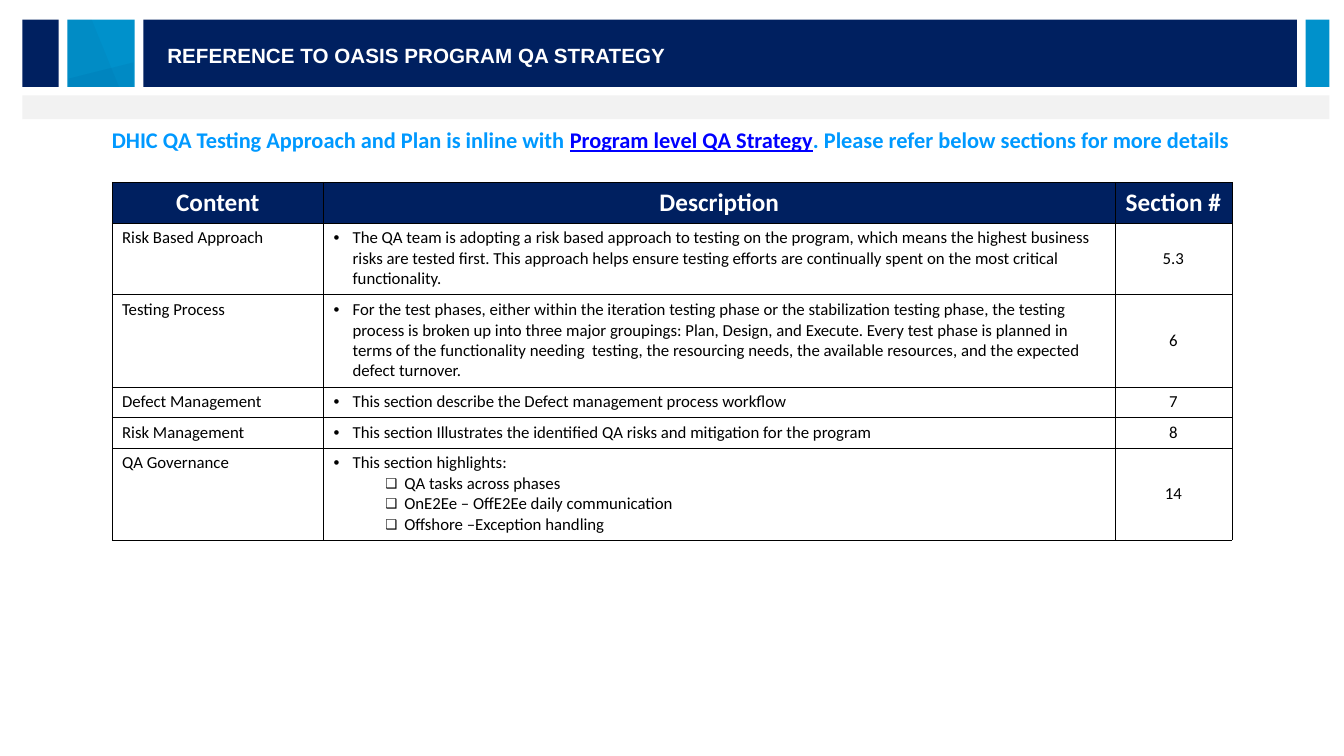
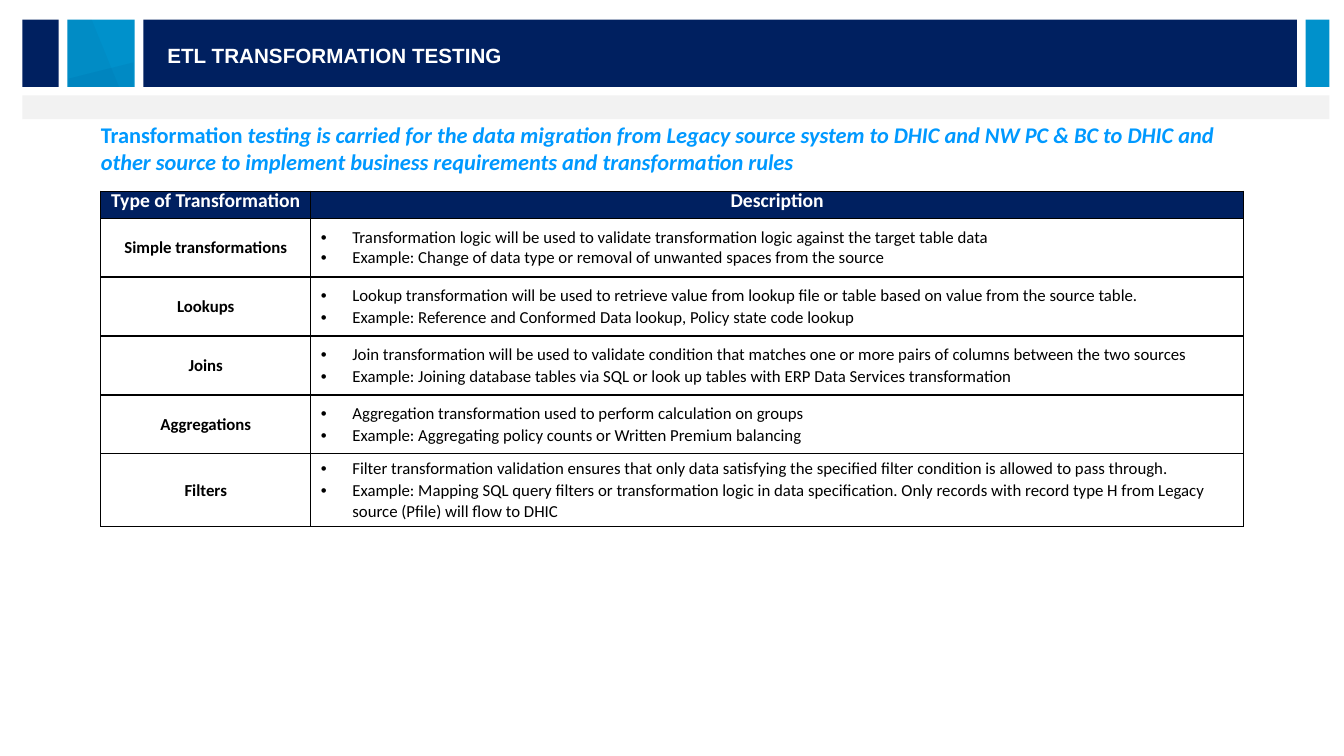
import pptx
import pptx.util
import pptx.dml.color
import pptx.enum.shapes
import pptx.enum.text
import pptx.oxml
import pptx.oxml.ns

Pt = pptx.util.Pt
ALIGN = pptx.enum.text.PP_ALIGN
ANCHOR = pptx.enum.text.MSO_ANCHOR
RECT = pptx.enum.shapes.MSO_SHAPE.RECTANGLE

NAVY, CYAN, GREY, SLATE = "002060", "0091CB", "F2F2F2", "17375E"
SKY, LINK, WHITE, BLACK = "0099FF", "0000FF", "FFFFFF", "000000"

BAND_LEFT, BAND_TOP, BAND_HIGH, GAP = 16, 14, 48, 6.2
BANDS = [(26, NAVY), (48, CYAN), (824, NAVY), (17, CYAN)]
FACETS = [
    ([(48.2, 14), (65.5, 14), (85, 62), (48.2, 62)], SLATE, 5),
    ([(95.2, 44.6), (49, 56.2), (49, 62), (95.2, 62)], NAVY, 6),
]
TITLE_BOX = (112.3, 27.4, 592, 24)

SLIDES = [
    {
        "title": "REFERENCE TO OASIS PROGRAM QA STRATEGY",
        "lead": [
            ("DHIC QA Testing Approach and Plan is inline with ", {}),
            ("Program level QA Strategy", {"color": LINK, "under": True}),
            (". Please refer below sections for more details", {}),
        ],
        "box": (72.7, 86.4, 814.3, 40),
        "pad": (7.2, 3.6),
        "spot": (80, 130),
        "cols": [151.2, 565.2, 83.5],
        "rows": [29.2, 51.2, 65.8, 21.8, 21.8, 65.8],
        "head": ["Content", "Description", "Section #"],
        "size": 18,
        "pitch": None,
        "first": {"align": ALIGN.LEFT, "anchor": ANCHOR.TOP, "bold": False},
        "list": {"anchor": ANCHOR.TOP, "hang": 13.5, "after": [0] * 5},
        "line": 0.25,
        "body": [
            ("Risk Based Approach",
             ["The QA team is adopting a risk based approach to testing on the program, which means the highest business risks are tested first. This approach helps ensure testing efforts are continually spent on the most critical functionality."],
             "5.3"),
            ("Testing Process",
             ["For the test phases, either within the iteration testing phase or the stabilization testing phase, the testing process is broken up into three major groupings: Plan, Design, and Execute. Every test phase is planned in terms of the functionality needing  testing, the resourcing needs, the available resources, and the expected defect turnover."],
             "6"),
            ("Defect Management",
             ["This section describe the Defect management process workflow"],
             "7"),
            ("Risk Management",
             ["This section Illustrates the identified QA risks and mitigation for the program"],
             "8"),
            ("QA Governance",
             ["This section highlights:",
              ("QA tasks across phases",),
              ("OnE2Ee – OffE2Ee daily communication",),
              ("Offshore –Exception handling",)],
             "14"),
        ],
    },
    {
        "title": "ETL TRANSFORMATION TESTING",
        "lead": [
            ("Transformation", {}),
            (" testing is carried for the data migration from Legacy source system to DHIC and NW PC & BC to DHIC and other source to implement business requirements and transformation rules", {"slant": True}),
        ],
        "box": (72, 86.4, 816.5, 40),
        "pad": (0, 0),
        "spot": (72, 136.6),
        "cols": [150, 666.3],
        "rows": [19.2, 42.1, 42.1, 42.1, 42.1, 52],
        "head": ["Type of Transformation", "Description"],
        "size": 14,
        "pitch": 12,
        "first": {"align": ALIGN.CENTER, "anchor": ANCHOR.MIDDLE, "bold": True},
        "list": {"anchor": ANCHOR.MIDDLE, "hang": 22.5, "after": [0, 1, 1, 1, 1]},
        "line": 1,
        "body": [
            ("Simple transformations",
             ["Transformation logic will be used to validate transformation logic against the target table data",
              "Example: Change of data type or removal of unwanted spaces from the source"]),
            ("Lookups",
             ["Lookup transformation will be used to retrieve value from lookup file or table based on value from the source table.",
              "Example: Reference and Conformed Data lookup, Policy state code lookup"]),
            ("Joins",
             ["Join transformation will be used to validate condition that matches one or more pairs of columns between the two sources",
              "Example: Joining database tables via SQL or look up tables with ERP Data Services transformation"]),
            ("Aggregations",
             ["Aggregation transformation used to perform calculation on groups",
              "Example: Aggregating policy counts or Written Premium balancing"]),
            ("Filters",
             ["Filter transformation validation ensures that only data satisfying the specified filter condition is allowed to pass through.",
              "Example: Mapping SQL query filters or transformation logic in data specification. Only records with record type H from Legacy source (Pfile) will flow to DHIC"]),
        ],
    },
]


def rgb(code):
    return pptx.dml.color.RGBColor.from_string(code)


def node(root, tag, **attrs):
    item = root.makeelement(pptx.oxml.ns.qn("a:" + tag), attrs)
    root.append(item)
    return item


def add_run(para, text, size, color, bold=True, face="Calibri", slant=False, under=False):
    run = para.add_run()
    run.text = text
    font = run.font
    font.name, font.size, font.bold = face, Pt(size), bold
    font.italic, font.underline = slant, under
    font.color.rgb = rgb(color)


def paint(shape, color, alpha=None):
    shape.shadow.inherit = False
    shape.fill.solid()
    shape.fill.fore_color.rgb = rgb(color)
    shape.line.fill.background()
    if alpha:
        tint = shape._element.spPr.find(".//" + pptx.oxml.ns.qn("a:srgbClr"))
        node(tint, "alpha", val=str(alpha * 1000))


def add_bands(slide, layout):
    made = []

    def add_rect(left, top, width, height, color):
        shape = slide.shapes.add_shape(RECT, Pt(left), Pt(top), Pt(width), Pt(height))
        paint(shape, color)
        made.append(shape)

    left = BAND_LEFT
    for width, color in BANDS:
        add_rect(left, BAND_TOP, width, BAND_HIGH, color)
        left += width + GAP
    add_rect(BAND_LEFT, BAND_TOP + BAND_HIGH + GAP, left - GAP - BAND_LEFT, 17, GREY)
    for spots, color, alpha in FACETS:
        spots = [(Pt(x), Pt(y)) for x, y in spots]
        form = slide.shapes.build_freeform(*spots[0], scale=1.0)
        form.add_line_segments(spots[1:], close=True)
        shape = form.convert_to_shape()
        paint(shape, color, alpha)
        made.append(shape)
    for place, shape in enumerate(made, 2):
        layout.shapes._spTree.insert(place, shape._element)


def place_text(shape, box, pad, anchor):
    shape.left, shape.top, shape.width, shape.height = map(Pt, box)
    frame = shape.text_frame
    frame.word_wrap = True
    frame.auto_size = pptx.enum.text.MSO_AUTO_SIZE.NONE
    frame.vertical_anchor = anchor
    frame.margin_left = frame.margin_right = Pt(pad[0])
    frame.margin_top = frame.margin_bottom = Pt(pad[1])
    para = frame.paragraphs[0]
    props = para._p.get_or_add_pPr()
    props.set("marL", "0")
    props.set("indent", "0")
    node(props, "buNone")
    para.alignment = ALIGN.LEFT
    para.space_before = Pt(0)
    return para


def edge_cell(cell, width):
    props = cell._tc.get_or_add_tcPr()
    for place, side in enumerate(("lnL", "lnR", "lnT", "lnB")):
        line = node(props, side, w=str(Pt(width)))
        node(node(line, "solidFill"), "srgbClr", val=BLACK)
        props.insert(place, line)


def add_list(cell, items, hang, after):
    for place, item in enumerate(items):
        frame = cell.text_frame
        para = frame.add_paragraph() if place else frame.paragraphs[0]
        inner = isinstance(item, tuple)
        props = para._p.get_or_add_pPr()
        props.set("marL", str(Pt(50.4 if inner else hang)))
        props.set("indent", str(-Pt(hang)))
        if inner:
            para.level = 1
            node(props, "buSzPct", val="80000")
        node(props, "buFont", typeface="Arial")
        node(props, "buChar", char="❑" if inner else "•")
        para.space_after = Pt(after)
        add_run(para, item[0] if inner else item, 12, BLACK, False)


def add_grid(slide, data):
    cols, rows = data["cols"], data["rows"]
    frame = slide.shapes.add_table(len(rows), len(cols), *map(Pt, data["spot"]),
                                   Pt(sum(cols)), Pt(sum(rows)))
    grid = frame.table
    grid.first_row = grid.horz_banding = False
    for col, width in zip(grid.columns, cols):
        col.width = Pt(width)
    for row, height in zip(grid.rows, rows):
        row.height = Pt(height)
    for r, texts in enumerate([data["head"]] + data["body"]):
        for c, text in enumerate(texts):
            cell = grid.cell(r, c)
            cell.fill.solid()
            cell.fill.fore_color.rgb = rgb(WHITE if r else NAVY)
            edge_cell(cell, data["line"])
            cell.vertical_anchor = ANCHOR.MIDDLE
            para = cell.text_frame.paragraphs[0]
            para.alignment = ALIGN.CENTER
            if r == 0:
                cell.margin_left = cell.margin_right = Pt(6)
                if data["pitch"]:
                    para.line_spacing = Pt(data["pitch"])
                add_run(para, text, data["size"], WHITE)
            elif c == 1:
                look = data["list"]
                cell.vertical_anchor = look["anchor"]
                para.alignment = ALIGN.LEFT
                add_list(cell, text, look["hang"], look["after"][r - 1])
            elif c == 0:
                look = data["first"]
                cell.vertical_anchor = look["anchor"]
                para.alignment = look["align"]
                add_run(para, text, 12, BLACK, look["bold"])
            else:
                add_run(para, text, 12, BLACK, False)


def main():
    deck = pptx.Presentation()
    deck.slide_width, deck.slide_height = Pt(960), Pt(540)
    layout = deck.slide_layouts[1]
    for shape in list(layout.placeholders)[2:]:
        shape._element.getparent().remove(shape._element)
    for place, data in enumerate(SLIDES):
        slide = deck.slides.add_slide(layout)
        if place == 0:
            add_bands(slide, layout)
        title, lead = slide.placeholders
        para = place_text(title, TITLE_BOX, (7.2, 0), ANCHOR.MIDDLE)
        add_run(para, data["title"], 14.7, WHITE, face="Arial")
        para = place_text(lead, data["box"], data["pad"], ANCHOR.TOP)
        for text, look in data["lead"]:
            add_run(para, text, 16, **{"color": SKY, **look})
        add_grid(slide, data)
    deck.save("out.pptx")


if __name__ == "__main__":
    main()
